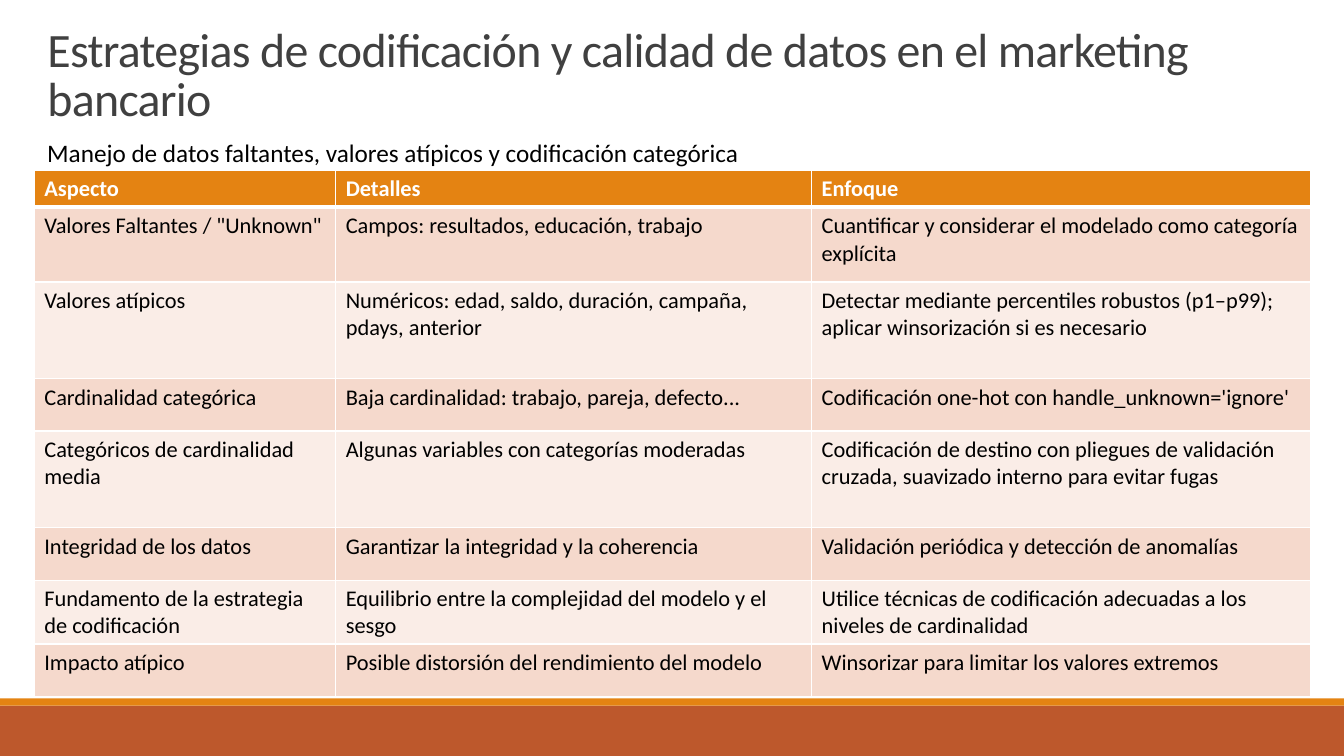
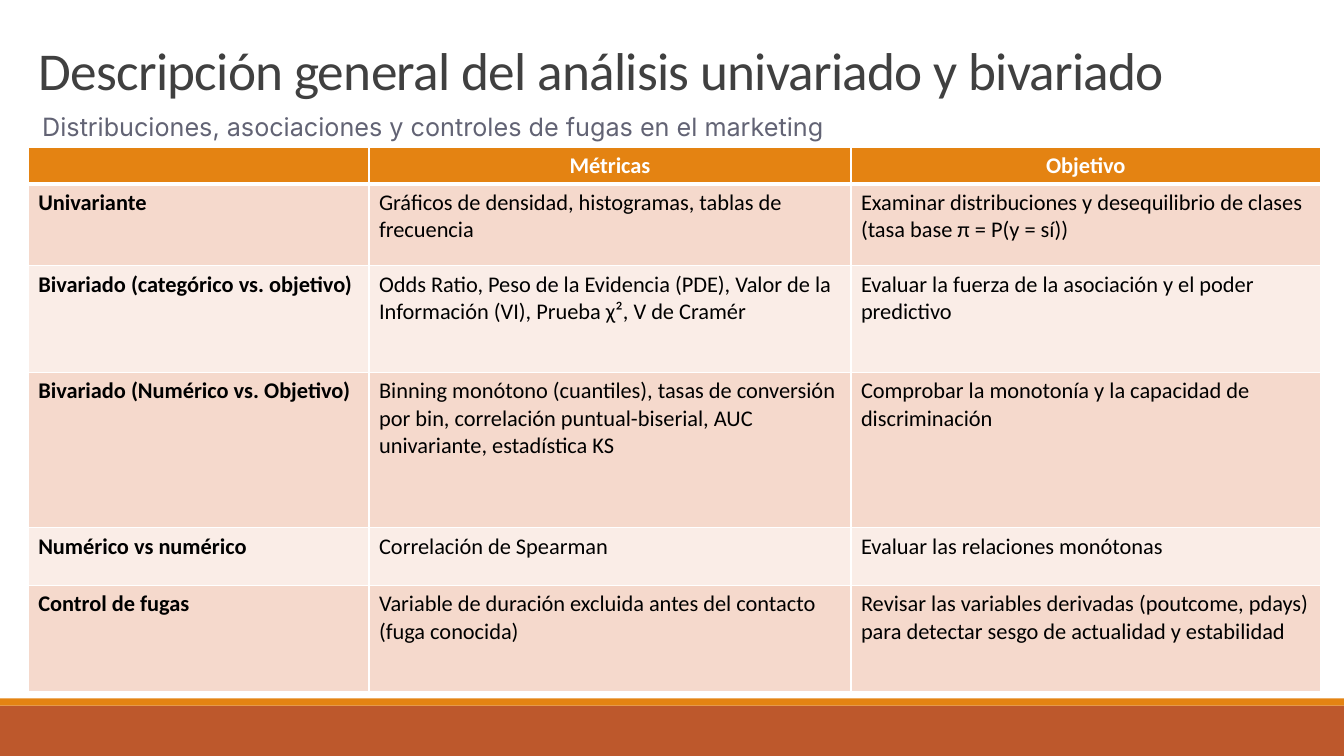
from lxml import etree
from pptx import Presentation
from pptx.dml.color import RGBColor as Rgb
from pptx.enum.shapes import MSO_SHAPE as Shape
from pptx.enum.text import MSO_ANCHOR as Anchor, MSO_AUTO_SIZE as Fit, PP_ALIGN as Align
from pptx.oxml.ns import qn
from pptx.util import Inches, Pt

HUES = {
    "white": "FFFFFF", "black": "000000", "title": "404040", "slate": "626374",
    "orange": "E48312", "rust": "BD582C", "dark": "F5D9CC", "light": "FAEDE7",
}

QUALITY = {
    "cols": [2.99, 4.72, 4.95],
    "rows": [0.3, 0.74, 0.96, 0.52, 0.96, 0.52, 0.52, 0.52],
    "cells": [
        ["Aspecto", "Detalles", "Enfoque"],
        ['Valores Faltantes / "Unknown"', "Campos: resultados, educación, trabajo",
         "Cuantificar y considerar el modelado como categoría explícita"],
        ["Valores atípicos", "Numéricos: edad, saldo, duración, campaña, pdays, anterior",
         "Detectar mediante percentiles robustos (p1–p99); aplicar winsorización si es necesario"],
        ["Cardinalidad categórica", "Baja cardinalidad: trabajo, pareja, defecto...",
         "Codificación one-hot con handle_unknown='ignore'"],
        ["Categóricos de cardinalidad media", "Algunas variables con categorías moderadas",
         "Codificación de destino con pliegues de validación cruzada, "
         "suavizado interno para evitar fugas"],
        ["Integridad de los datos", "Garantizar la integridad y la coherencia",
         "Validación periódica y detección de anomalías"],
        ["Fundamento de la estrategia de codificación",
         "Equilibrio entre la complejidad del modelo y el sesgo",
         "Utilice técnicas de codificación adecuadas a los niveles de cardinalidad"],
        ["Impacto atípico", "Posible distorsión del rendimiento del modelo",
         "Winsorizar para limitar los valores extremos"],
    ],
}

METRICS = {
    "cols": [3.38, 4.78, 4.66],
    "rows": [0.34, 0.81, 1.06, 1.54, 0.57, 1.06],
    "cells": [
        ["", "Métricas", "Objetivo"],
        ["Univariante", "Gráficos de densidad, histogramas, tablas de frecuencia",
         "Examinar distribuciones y desequilibrio de clases (tasa base π = P(y = sí))"],
        ["Bivariado (categórico vs. objetivo)",
         "Odds Ratio, Peso de la Evidencia (PDE), Valor de la Información (VI), "
         "Prueba χ², V de Cramér",
         "Evaluar la fuerza de la asociación y el poder predictivo"],
        ["Bivariado (Numérico vs. Objetivo)",
         "Binning monótono (cuantiles), tasas de conversión por bin, "
         "correlación puntual-biserial, AUC univariante, estadística KS",
         "Comprobar la monotonía y la capacidad de discriminación"],
        ["Numérico vs numérico", "Correlación de Spearman", "Evaluar las relaciones monótonas"],
        ["Control de fugas", "Variable de duración excluida antes del contacto (fuga conocida)",
         "Revisar las variables derivadas (poutcome, pdays) para detectar "
         "sesgo de actualidad y estabilidad"],
    ],
}


def hue(name):
    return Rgb.from_string(HUES[name])


def add_run(para, text, size, color, face="Calibri", bold=False):
    run = para.add_run()
    run.text = text
    font = run.font
    font.size, font.name, font.bold = Pt(size), face, bold
    font.color.rgb = hue(color)
    return run


def place(shape, box):
    shape.left, shape.top, shape.width, shape.height = map(Inches, box)


def add_band(slide, layout, num, top, height, color):
    band = slide.shapes.add_shape(
        Shape.RECTANGLE, 0, Inches(top), Inches(13.33), Inches(height))
    band.shadow.inherit = False
    band.fill.solid()
    band.fill.fore_color.rgb = hue(color)
    band.line.fill.background()
    band.element.xpath("./p:nvSpPr/p:cNvPr")[0].set("id", str(num))
    layout.shapes.element.append(band.element)


def set_title(slide, text, box, size):
    title = slide.shapes.title
    place(title, box)
    frame = title.text_frame
    frame.word_wrap, frame.auto_size = True, Fit.NONE
    frame.vertical_anchor = Anchor.BOTTOM
    para = frame.paragraphs[0]
    para.alignment, para.line_spacing = Align.LEFT, 0.85
    run = add_run(para, text, size, "title")
    run.font._element.set("spc", "-50")


def add_sub(slide, text, box, color, face):
    frame = slide.shapes.add_textbox(*map(Inches, box)).text_frame
    frame.word_wrap = True
    add_run(frame.paragraphs[0], text, 18, color, face)


def add_edge(cell, side, width):
    props = cell._tc.get_or_add_tcPr()
    line = etree.SubElement(props, qn("a:ln" + side), w=str(Pt(width)))
    fill = etree.SubElement(line, qn("a:solidFill"))
    etree.SubElement(fill, qn("a:srgbClr"), val=HUES["white"])


def set_cell(cell, text, row, bold, align):
    head = row == 0
    thick = {"B": 3} if head else {"T": 3} if row == 1 else {}
    for side in "LRTB":
        add_edge(cell, side, thick.get(side, 1))
    cell.fill.solid()
    cell.fill.fore_color.rgb = hue("orange" if head else "dark" if row % 2 else "light")
    para = cell.text_frame.paragraphs[0]
    para.alignment = align
    if text:
        add_run(para, text, 16, "white" if head else "black", bold=bold)
    else:
        para._p.get_or_add_endParaRPr().set("sz", "1600")


def add_grid(slide, data, left, top, center=False, lead=False):
    cols, rows = data["cols"], data["rows"]
    table = slide.shapes.add_table(
        len(rows), len(cols), *map(Inches, (left, top, sum(cols), sum(rows)))).table
    table.horz_banding = False
    for col, width in zip(table.columns, cols):
        col.width = Inches(width)
    for row, height in zip(table.rows, rows):
        row.height = Inches(height)
    for r, texts in enumerate(data["cells"]):
        align = Align.CENTER if center and r == 0 else Align.LEFT
        for c, text in enumerate(texts):
            set_cell(table.cell(r, c), text, r, r == 0 or (lead and c == 0), align)


def main():
    deck = Presentation()
    deck.slide_width, deck.slide_height = Inches(13.33), Inches(7.5)
    layout = deck.slide_layouts[5]
    first, second = [deck.slides.add_slide(layout) for _ in range(2)]
    add_band(first, layout, 101, 7, 0.5, "rust")
    add_band(first, layout, 102, 6.93, 0.07, "orange")

    set_title(first, "Estrategias de codificación y calidad de datos en el marketing bancario",
              (0.37, 0.25, 12.07, 1.05), 34.2)
    add_sub(first, "Manejo de datos faltantes, valores atípicos y codificación categórica",
            (0.37, 1.31, 8, 0.4), "black", "Calibri")
    add_grid(first, QUALITY, 0.34, 1.69)

    set_title(second, "Descripción general del análisis univariado y bivariado",
              (0.28, 0.27, 12.04, 0.79), 38)
    add_sub(second, "Distribuciones, asociaciones y controles de fugas en el marketing",
            (0.32, 1.06, 8.99, 0.4), "slate", "Inter")
    add_grid(second, METRICS, 0.28, 1.46, center=True, lead=True)
    deck.save("out.pptx")


if __name__ == "__main__":
    main()
